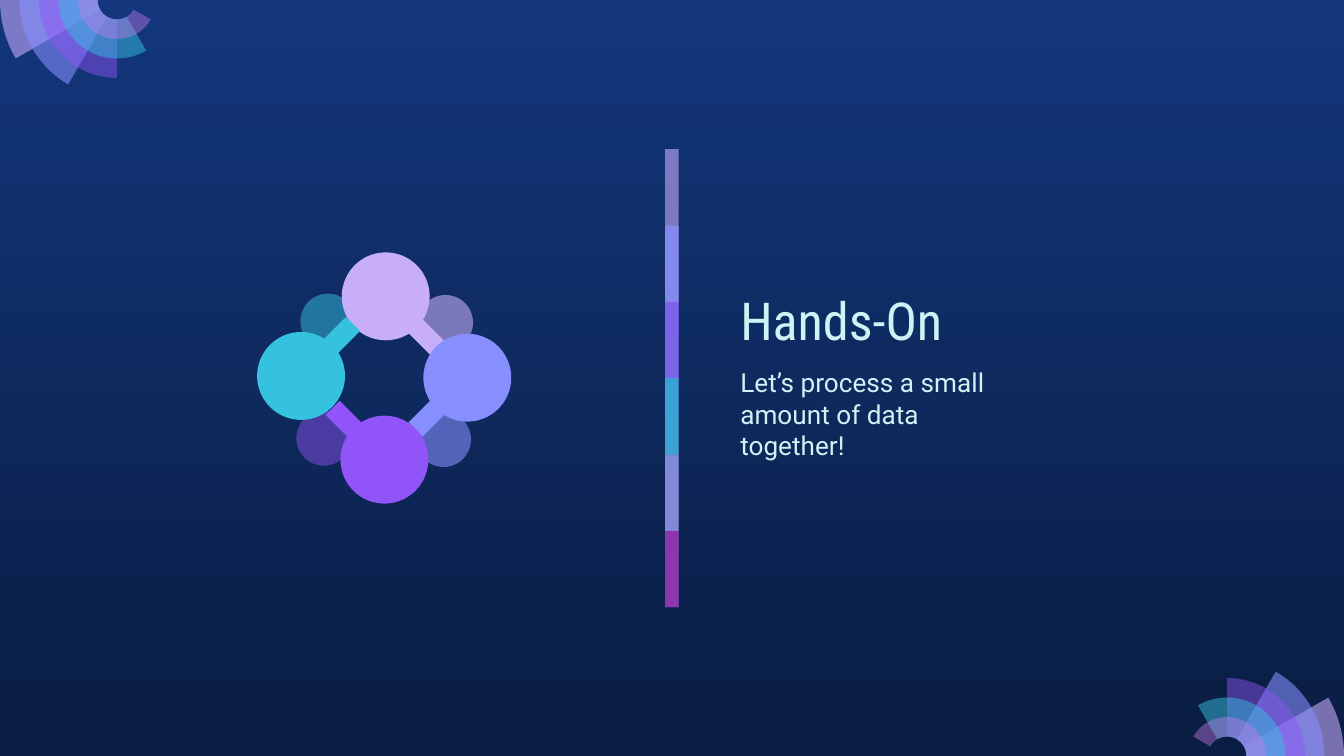
from math import asin, cos, degrees, radians, sin, tan

from lxml import etree
from pptx import Presentation
from pptx.dml.color import RGBColor
from pptx.enum.shapes import MSO_SHAPE
from pptx.enum.text import MSO_ANCHOR
from pptx.oxml.ns import qn
from pptx.util import Inches, Pt

RECTANGLE, OVAL = MSO_SHAPE.RECTANGLE, MSO_SHAPE.OVAL
TOP, BOTTOM = MSO_ANCHOR.TOP, MSO_ANCHOR.BOTTOM
COLUMNS, ROWS = 100, 56.25
LILAC, BLUE, VIOLET, CYAN = "C8AEF8", "878FFF", "9154F8", "35C2DF"
ORCHID, MAGENTA, TEXT = "CA7BEB", "972CB4", "CEF3F5"

BAR_COLORS = [(LILAC, 59), (BLUE, 74), (VIOLET, 53), (CYAN, 76), (ORCHID, 56), (MAGENTA, 74)]
FAN_COLORS = [("C8ACFD", 58), (BLUE, 58), (VIOLET, 46), (CYAN, 49), (ORCHID, 42)]
SMALL_ATOMS = [
    (24.4, 23.9, CYAN, 49),
    (33.15, 24, LILAC, 59),
    (33, 32.7, BLUE, 58),
    (24.1, 32.6, VIOLET, 46),
]
BONDED_ATOMS = [
    (28.7, 22.05, LILAC, 45),
    (34.77, 28.1, BLUE, 135),
    (28.6, 34.2, VIOLET, 225),
    (22.4, 27.97, CYAN, 315),
]
TITLE = {"size": Pt(28), "name": "Roboto Condensed"}
BODY = {"size": Pt(14), "name": "Roboto"}


def grid(*cells):
    """Turn grid counts, ten to the inch, into lengths."""
    return [Inches(cell / 10) for cell in cells]


def paint(target, color):
    """Give a fill a solid colour from a hex string."""
    target.solid()
    target.fore_color.rgb = RGBColor.from_string(color)


def style(shape, color, opacity=100):
    """Fill a shape, without line or shadow, at an opacity in percent."""
    shape.shadow.inherit = False
    shape.line.fill.background()
    paint(shape.fill, color)
    if opacity < 100:
        tint = shape.fill._xPr.find(qn("a:solidFill"))[0]
        etree.SubElement(tint, qn("a:alpha"), val=str(opacity * 1000))


def add_preset(shapes, kind, cells, color, opacity):
    """Add a preset shape on the grid."""
    style(shapes.add_shape(kind, *grid(*cells)), color, opacity)


def add_outline(shapes, points, color, opacity=100):
    """Add a closed outline of (x, y, curved) points, curved ones in threes."""
    start, *others = [grid(x, y) for x, y, _ in points]
    builder = shapes.build_freeform(*start, scale=1.0)
    builder.add_line_segments(others, close=True)
    shape = builder.convert_to_shape()
    lines = list(shape._element.iter(qn("a:lnTo")))
    bends = [line for line, point in zip(lines, points[1:]) if point[2]]
    for index in range(0, len(bends), 3):
        first, *rest = bends[index:index + 3]
        first.tag = qn("a:cubicBezTo")
        for line in rest:
            first.append(line[0])
            line.getparent().remove(line)
    style(shape, color, opacity)


def arc(x, y, radius, start, end, pieces):
    """List an arc as Bezier points, with angles clockwise in degrees."""
    turn = radians(end - start) / pieces
    pull = 4 / 3 * tan(turn / 4)

    def place(angle, shift, curved=True):
        """Place a point at an angle, shifted along the tangent."""
        across, down = cos(angle), sin(angle)
        return (x + radius * (across - shift * down), y + radius * (down + shift * across), curved)

    points = [place(radians(start), 0, False)]
    for piece in range(pieces):
        angle = radians(start) + piece * turn
        points += [place(angle, pull), place(angle + turn, -pull), place(angle + turn, 0)]
    return points


def add_bar(page):
    """Add the vertical divider of overlapping bands."""
    pitch, top = 5.68, 11.1
    shapes = page.shapes.add_group_shape().shapes
    for row, (color, opacity) in enumerate(BAR_COLORS):
        height = pitch * min(2, len(BAR_COLORS) - row)
        add_preset(shapes, RECTANGLE, (49.5, top + row * pitch, 1, height), color, opacity)


def add_fan(page, x, y, start):
    """Add a fan whose rings shrink as their sweep widens by 30 degrees."""
    ring = 1.45
    shapes = page.shapes.add_group_shape().shapes
    for index, (color, opacity) in enumerate(FAN_COLORS):
        pieces = index + 1
        end = start - 30 * pieces
        outer = arc(x, y, ring * (6 - index), start, end, pieces)
        inner = arc(x, y, ring, end, start, pieces)
        add_outline(shapes, outer + inner, color, opacity)


def add_bonded_atom(page, x, y, color, angle):
    """Add a disc with a straight bond pointing along an angle."""
    radius, half_width, reach = 3.27, 0.74, 5.45
    gap = degrees(asin(half_width / radius))
    along, across = cos(radians(angle)), sin(radians(angle))
    tip = [
        (x + reach * along - side * across, y + reach * across + side * along, False)
        for side in (-half_width, half_width)
    ]
    disc = arc(x, y, radius, angle + gap, angle + 360 - gap, 8)
    add_outline(page.shapes, disc + tip, color)


def add_text(page, cells, words, anchor, font):
    """Add a wrapped text box with one paragraph."""
    box = page.shapes.add_textbox(*grid(*cells))
    frame = {"word_wrap": True, "vertical_anchor": anchor}
    for side in ("left", "right", "top", "bottom"):
        frame[f"margin_{side}"] = Inches(0.1)
    for key, value in frame.items():
        setattr(box.text_frame, key, value)
    span = box.text_frame.paragraphs[0].add_run()
    span.text = words
    for key, value in font.items():
        setattr(span.font, key, value)
    paint(span.font.fill, TEXT)


def set_background(page, colors):
    """Fill the page with a gradient from top to bottom."""
    fill = page.background.fill
    fill.gradient()
    fill.gradient_angle = 270
    for position, (stop, color) in enumerate(zip(fill.gradient_stops, colors)):
        stop.position = position
        stop.color.rgb = RGBColor.from_string(color)


def main():
    """Build the slide and save it."""
    deck = Presentation()
    deck.slide_width, deck.slide_height = grid(COLUMNS, ROWS)
    page = deck.slides.add_slide(deck.slide_layouts[6])
    set_background(page, ["13367C", "0A1D42"])
    add_bar(page)
    for x, y, color, opacity in SMALL_ATOMS:
        add_preset(page.shapes, OVAL, (x - 2.05, y - 2.05, 4.1, 4.1), color, opacity)
    add_text(page, (54.1, 16.5, 27.6, 10.6), "Hands-On", BOTTOM, TITLE)
    message = "Let’s process a small amount of data together!"
    add_text(page, (54.1, 26.3, 20.8, 19.7), message, TOP, BODY)
    for atom in BONDED_ATOMS:
        add_bonded_atom(page, *atom)
    add_fan(page, COLUMNS - 8.7, ROWS, 360)
    add_fan(page, 8.7, 0, 180)
    deck.save("out.pptx")


if __name__ == "__main__":
    main()
